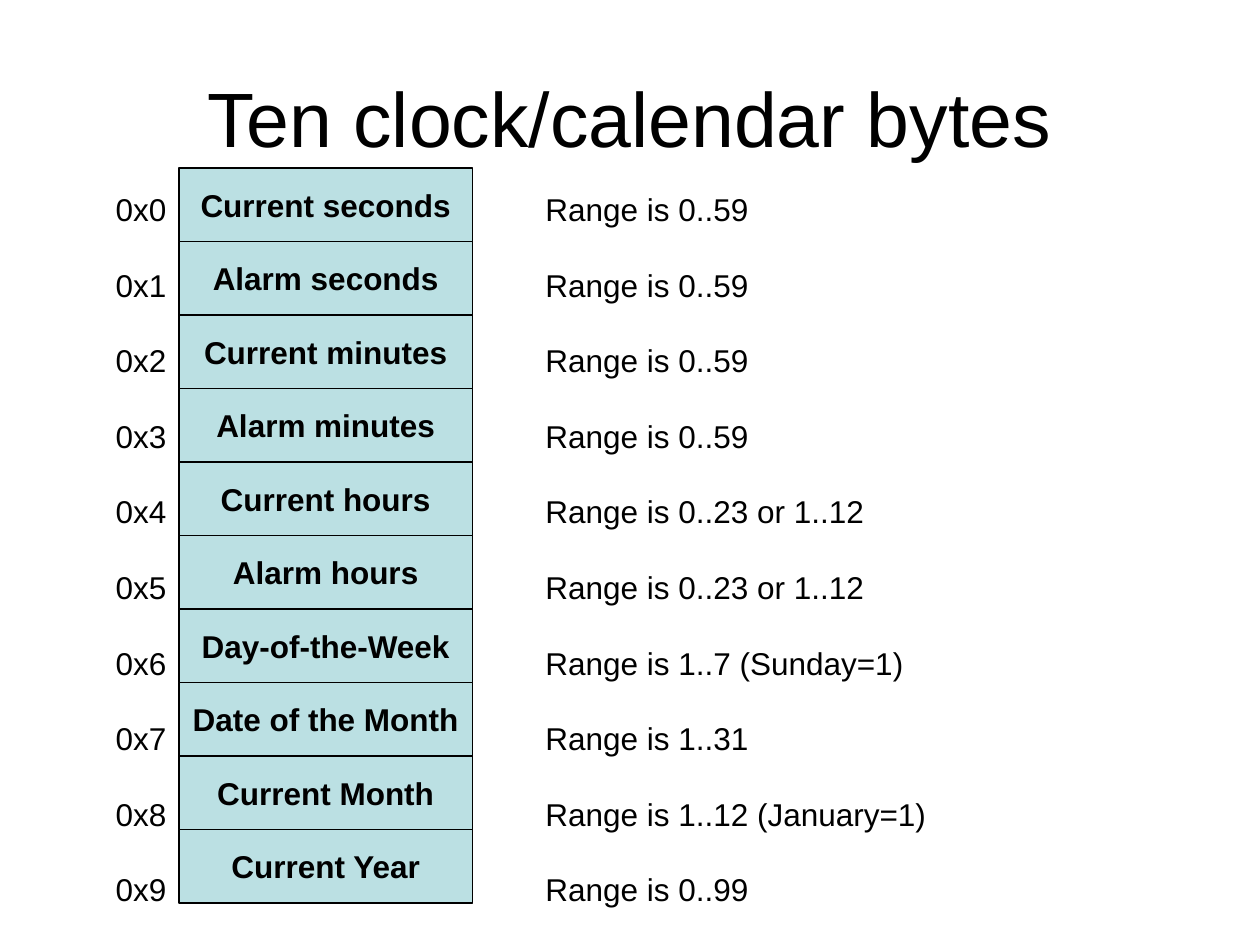
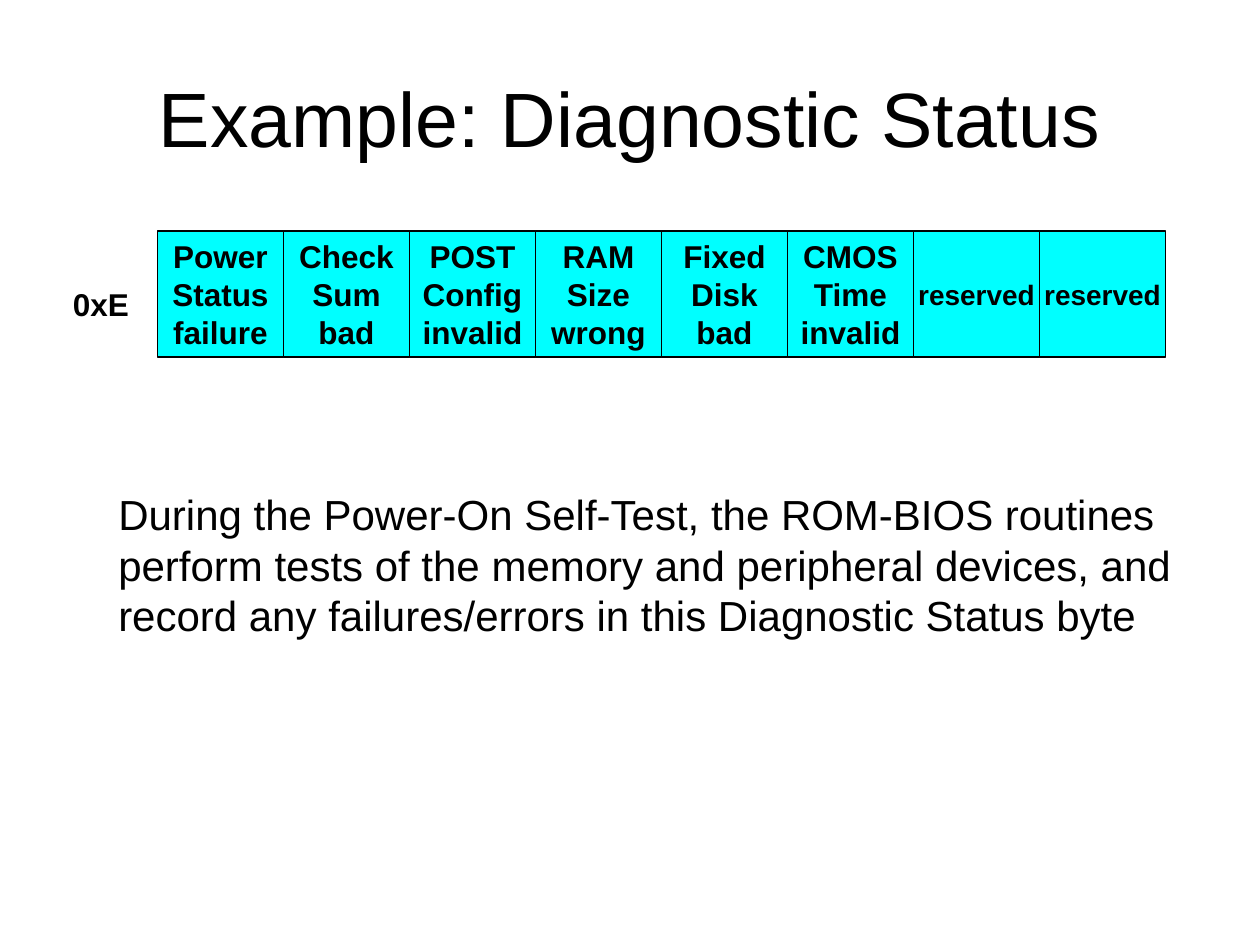
"""Builds two slides on the clock/calendar bytes and the diagnostic status byte."""
from pptx import Presentation
from pptx.dml.color import RGBColor
from pptx.enum.shapes import MSO_SHAPE as Preset
from pptx.enum.text import MSO_ANCHOR as Anchor, PP_ALIGN as Align
from pptx.util import Inches, Pt

FONT = "Arial"
BLACK, PALE_TEAL, CYAN = "000000", "BBE0E3", "00FFFF"
LEADING = 1.2


def write(box, text, size, bold=False, align=Align.LEFT, anchor=Anchor.TOP, gap=0):
    """Fill a shape with unwrapped lines of text in the shared style."""
    frame = box.text_frame
    frame.text = text
    frame.word_wrap = False
    frame.vertical_anchor = anchor
    for para in frame.paragraphs:
        para.alignment = align
        para.line_spacing = Pt(size * LEADING)
        para.space_before = Pt(0)
        para.space_after = Pt(gap)
        for span in para.runs:
            span.font.name = FONT
            span.font.size = Pt(size)
            span.font.bold = bold
            span.font.color.rgb = RGBColor.from_string(BLACK)


def add_cell(page, left, top, width, height, fill, text, size=18):
    """Draw one outlined cell with bold centred text."""
    cell = page.shapes.add_shape(
        Preset.RECTANGLE, Inches(left), Inches(top), Inches(width), Inches(height))
    cell.shadow.inherit = False
    cell.fill.solid()
    cell.fill.fore_color.rgb = RGBColor.from_string(fill)
    cell.line.color.rgb = RGBColor.from_string(BLACK)
    cell.line.width = Pt(0.75)
    write(cell, text, size, True, Align.CENTER, Anchor.MIDDLE)


deck = Presentation()
deck.slide_width, deck.slide_height = Inches(10), Inches(7.5)

pages = []
for heading in ("Ten clock/calendar bytes", "Example: Diagnostic Status"):
    page = deck.slides.add_slide(deck.slide_layouts[5])
    title = page.shapes.title
    title.left, title.top = Inches(0.5), Inches(0.3)
    title.width, title.height = Inches(9), Inches(1.25)
    write(title, heading, 44, align=Align.CENTER, anchor=Anchor.MIDDLE)
    pages.append(page)
clock_page, status_page = pages

clock_bytes = [
    ("Current seconds", "0..59"),
    ("Alarm seconds", "0..59"),
    ("Current minutes", "0..59"),
    ("Alarm minutes", "0..59"),
    ("Current hours", "0..23 or 1..12"),
    ("Alarm hours", "0..23 or 1..12"),
    ("Day-of-the-Week", "1..7 (Sunday=1)"),
    ("Date of the Month", "1..31"),
    ("Current Month", "1..12 (January=1)"),
    ("Current Year", "0..99"),
]
row_height = 7 / 12
for row, (name, limits) in enumerate(clock_bytes):
    add_cell(clock_page, 1.42, 4 / 3 + row * row_height, 2.33, row_height, PALE_TEAL, name)

offsets = "\n".join(f"0x{row}" for row in range(len(clock_bytes)))
ranges = "\n".join(f"Range is {limits}" for name, limits in clock_bytes)
for left, width, column in ((0.82, 0.62, offsets), (4.23, 3.22, ranges)):
    box = clock_page.shapes.add_textbox(
        Inches(left), Inches(1.46), Inches(width), Inches(5.8))
    write(box, column, 18, gap=18 * LEADING)

status_bits = [
    "Power\nStatus\nfailure", "Check\nSum\nbad", "POST\nConfig\ninvalid",
    "RAM\nSize\nwrong", "Fixed\nDisk\nbad", "CMOS\nTime\ninvalid",
    "reserved", "reserved",
]
for column, bit in enumerate(status_bits):
    add_cell(status_page, 1.25 + column, 11 / 6, 1, 1, CYAN, bit,
             16 if bit == "reserved" else 18)

offset_box = status_page.shapes.add_textbox(
    Inches(0.48), Inches(2.21), Inches(0.7), Inches(0.4))
write(offset_box, "0xE", 18, bold=True)

explanation = status_page.shapes.add_textbox(
    Inches(0.84), Inches(3.83), Inches(8.65), Inches(1.3))
write(explanation,
      "During the Power-On Self-Test, the ROM-BIOS routines\n"
      "perform tests of the memory and peripheral devices, and\n"
      "record any failures/errors in this Diagnostic Status byte", 24)

deck.save("out.pptx")
